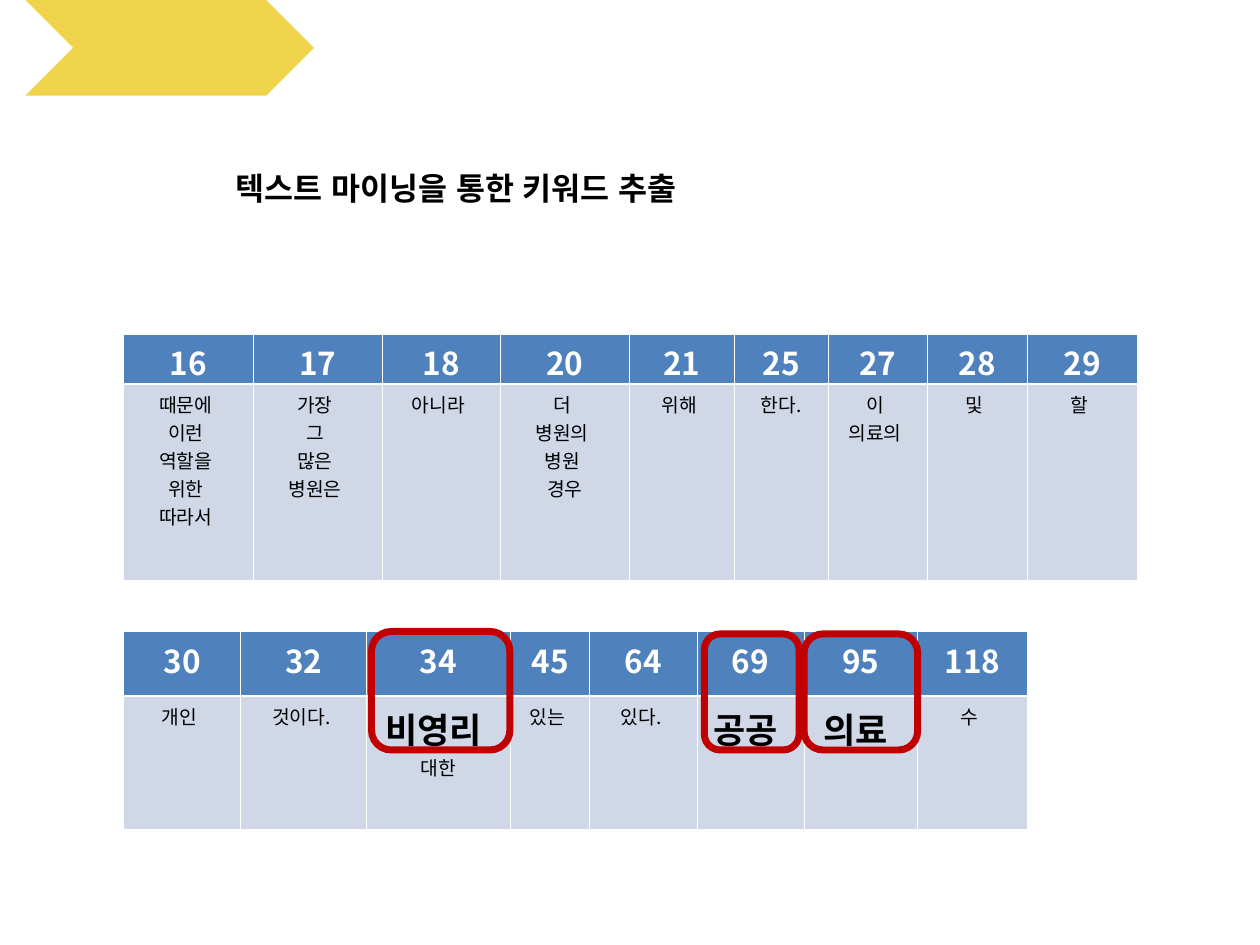
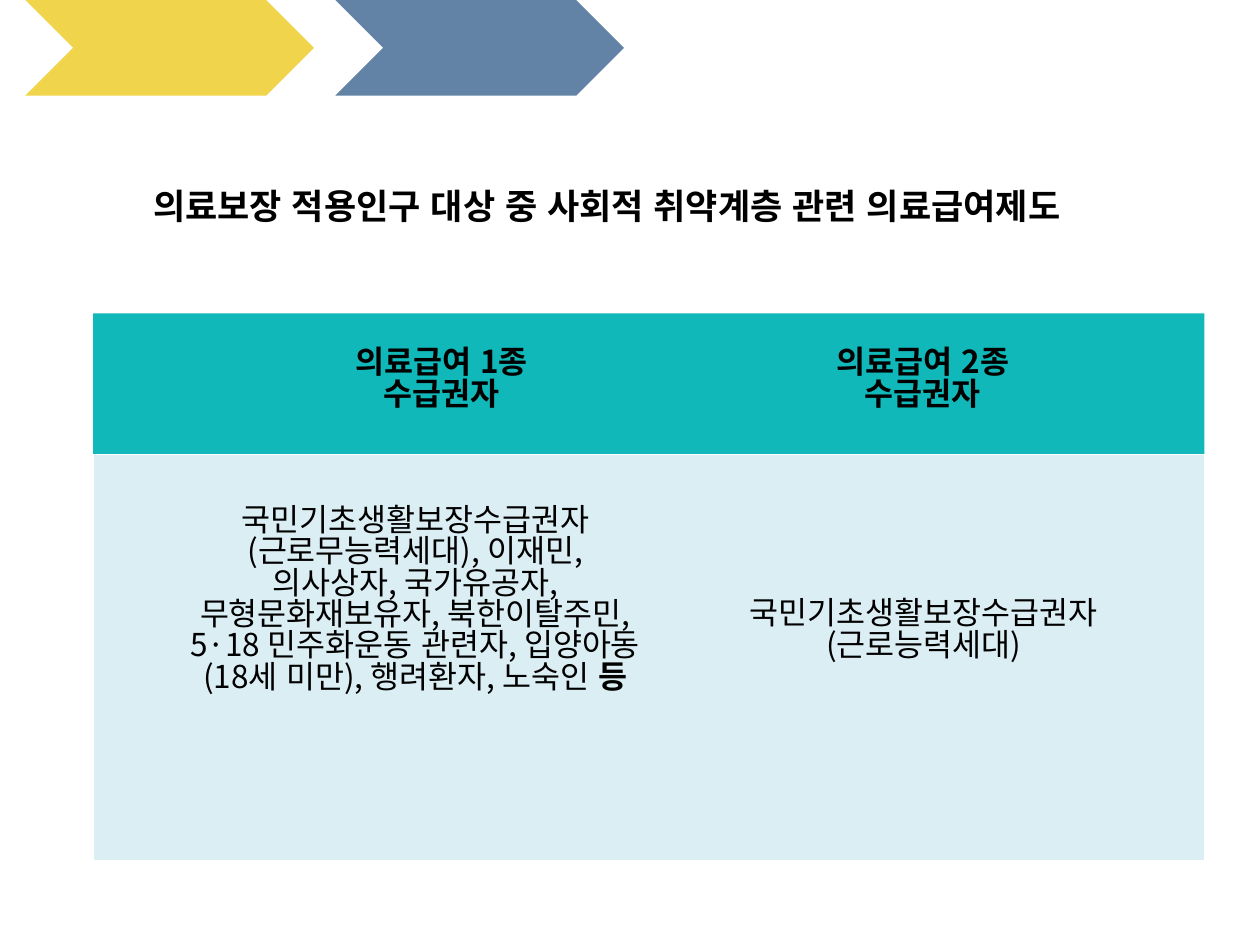
from lxml.etree import SubElement
from pptx import Presentation
from pptx.dml.color import RGBColor
from pptx.enum.lang import MSO_LANGUAGE_ID as Language
from pptx.enum.shapes import MSO_SHAPE as Shape
from pptx.enum.text import PP_ALIGN as Align
from pptx.oxml.ns import qn
from pptx.util import Cm, Pt

FONT = "Noto Sans CJK KR"
BLACK, WHITE = "000000", "FFFFFF"
HEADER_BLUE, BODY_BLUE = "4F81BD", "D0D8E8"
TEAL, PALE_TEAL = "11B8B9", "DBEEF4"
MARK_RED = "C00000"
STEP_COLORS = ["F0D44C", "6283A6"]
STEP_LEFT, STEP_PITCH, STEP_WIDTH, STEP_HEIGHT = 0.51, 6.25, 5.82, 1.93
TABLE_LEFT = 2.49

KEYWORD_TITLE = "텍스트 마이닝을 통한 키워드 추출"
KEYWORD_TABLES = [
    {
        "top": 6.73,
        "rows": (1.01, 3.96),
        "columns": [
            (2.62, "16", ["때문에 ", "이런 ", "역할을 ", "위한 ", "따라서 "]),
            (2.59, "17", ["가장 ", "그 ", "많은 ", "병원은 "]),
            (2.39, "18", ["아니라 "]),
            (2.59, "20", ["더 ", "병원의 ", "병원 ", "경우"]),
            (2.13, "21", ["위해 "]),
            (1.88, "25", ["한다."]),
            (2.01, "27", ["이 ", "의료의 "]),
            (2.01, "28", ["및 "]),
            (2.21, "29", ["할 "]),
        ],
    },
    {
        "top": 12.73,
        "rows": (1.3, 2.69),
        "columns": [
            (2.36, "30", ["개인 "]),
            (2.54, "32", ["것이다. "]),
            (2.9, "34", ["비영리 ", "대한"]),
            (1.6, "45", ["있는 "]),
            (2.16, "64", ["있다. "]),
            (2.16, "69", ["공공 "]),
            (2.29, "95", ["의료 "]),
            (2.21, "118", ["수 "]),
        ],
    },
]
KEY_TERMS = {"비영리", "공공", "의료"}
KEY_TERM_FRAMES = [
    (7.49, 12.73, 2.79, 2.39),
    (14.2, 12.78, 1.91, 2.34),
    (16.21, 12.78, 2.29, 2.34),
]

BENEFIT_TITLE = "의료보장 적용인구 대상 중 사회적 취약계층 관련 의료급여제도"
BENEFIT_BANDS = [
    ((1.88, 6.32, 22.4, 2.87), TEAL, None),
    ((1.88, 9.17, 22.4, 8.18), PALE_TEAL, WHITE),
]
BENEFIT_HEADINGS = [
    ((6.2, 6.83, 5.41, 1.78), "의료급여 1종 수급권자"),
    ((15.9, 6.83, 5.41, 1.78), "의료급여 2종 수급권자"),
]
BENEFIT_GROUPS = [
    ((3.58, 10.01, 9.58, 5.59), [
        ["국민기초생활보장수급권자"],
        ["(근로무능력세대), 이재민, 의사상자, 국가유공자, 무형문화재보유자, "
         "북한이탈주민, 5·18 민주화운동 관련자, 입양아동(18세 미만), "
         "행려환자, 노숙인 ", "등"],
    ]),
    ((13.97, 11.89, 9.3, 1.78), [["국민기초생활보장수급권자(근로능력세대)"]]),
]


def rgb(value):
    return RGBColor.from_string(value)


def style(paragraph, size, color=BLACK, bold=False, align=Align.CENTER):
    paragraph.alignment = align
    font = paragraph.font
    font.size, font.bold, font.name = Pt(size), bold, FONT
    font.color.rgb = rgb(color)
    font.language_id = Language.KOREAN
    properties = paragraph._p.pPr.find(qn("a:defRPr"))
    SubElement(properties, qn("a:ea"), typeface=FONT)


def paragraphs(frame, count):
    return [frame.paragraphs[0]] + [frame.add_paragraph() for _ in range(count - 1)]


def add_text(slide, box, lines, size=18, bold=False, align=Align.CENTER):
    frame = slide.shapes.add_textbox(*map(Cm, box)).text_frame
    frame.word_wrap = True
    frame.margin_top = Cm(0.2)
    for paragraph, parts in zip(paragraphs(frame, len(lines)), lines):
        for part in parts:
            paragraph.add_run().text = part
        style(paragraph, size, bold=bold, align=align)
        paragraph.line_spacing = 0.83
        for emphasis in paragraph.runs[1:]:
            emphasis.font.bold = True


def add_block(slide, kind, box, fill=None, line=None, weight=0.5):
    block = slide.shapes.add_shape(kind, *map(Cm, box))
    block.shadow.inherit = False
    if fill:
        block.fill.solid()
        block.fill.fore_color.rgb = rgb(fill)
    else:
        block.fill.background()
    if line:
        block.line.color.rgb = rgb(line)
        block.line.width = Pt(weight)
    else:
        block.line.fill.background()


def paint_cell(cell, fill, heavy_side):
    properties = cell._tc.get_or_add_tcPr()
    for side in ("lnL", "lnR", "lnT", "lnB"):
        weight = Pt(1.47 if side == heavy_side else 0.45)
        border = SubElement(properties, qn(f"a:{side}"), w=str(weight))
        SubElement(SubElement(border, qn("a:solidFill")), qn("a:srgbClr"), val=WHITE)
    cell.fill.solid()
    cell.fill.fore_color.rgb = rgb(fill)


def add_keyword_table(slide, top, rows, columns):
    width = sum(column[0] for column in columns)
    table = slide.shapes.add_table(
        2, len(columns), Cm(TABLE_LEFT), Cm(top), Cm(width), Cm(sum(rows))).table
    for row, height in zip(table.rows, rows):
        row.height = Cm(height)
    for index, (column_width, count, words) in enumerate(columns):
        table.columns[index].width = Cm(column_width)
        header, body = table.cell(0, index), table.cell(1, index)
        paint_cell(header, HEADER_BLUE, "lnB")
        paint_cell(body, BODY_BLUE, "lnT")
        header.margin_top, header.margin_bottom = Cm(0.1), 0
        header.text = count
        style(header.text_frame.paragraphs[0], 18, WHITE, bold=True)
        for paragraph, word in zip(paragraphs(body.text_frame, len(words)), words):
            paragraph.add_run().text = word
            is_key = word.strip() in KEY_TERMS
            style(paragraph, 20 if is_key else 11, bold=is_key)


def add_slide(deck, steps, title, title_box, title_size):
    slide = deck.slides.add_slide(deck.slide_layouts[6])
    for index, color in enumerate(STEP_COLORS[:steps]):
        left = STEP_LEFT + index * STEP_PITCH
        add_block(slide, Shape.CHEVRON, (left, 0, STEP_WIDTH, STEP_HEIGHT), color)
    add_text(slide, title_box, [[title]], title_size, bold=True, align=Align.LEFT)
    return slide


def main():
    deck = Presentation()
    deck.slide_width, deck.slide_height = Cm(25.4), Cm(19.05)

    keywords = add_slide(deck, 1, KEYWORD_TITLE, (4.5, 3.33, 12.19, 1.02), 18)
    for keyword_table in KEYWORD_TABLES:
        add_keyword_table(keywords, **keyword_table)
    for box in KEY_TERM_FRAMES:
        add_block(keywords, Shape.FLOWCHART_ALTERNATE_PROCESS, box,
                  line=MARK_RED, weight=4)

    benefits = add_slide(deck, 2, BENEFIT_TITLE, (2.84, 3.66, 20.65, 1.12), 20)
    for box, fill, line in BENEFIT_BANDS:
        add_block(benefits, Shape.RECTANGLE, box, fill, line)
    for box, heading in BENEFIT_HEADINGS:
        add_text(benefits, box, [[heading]], bold=True)
    for box, lines in BENEFIT_GROUPS:
        add_text(benefits, box, lines)

    deck.save("out.pptx")


if __name__ == "__main__":
    main()
